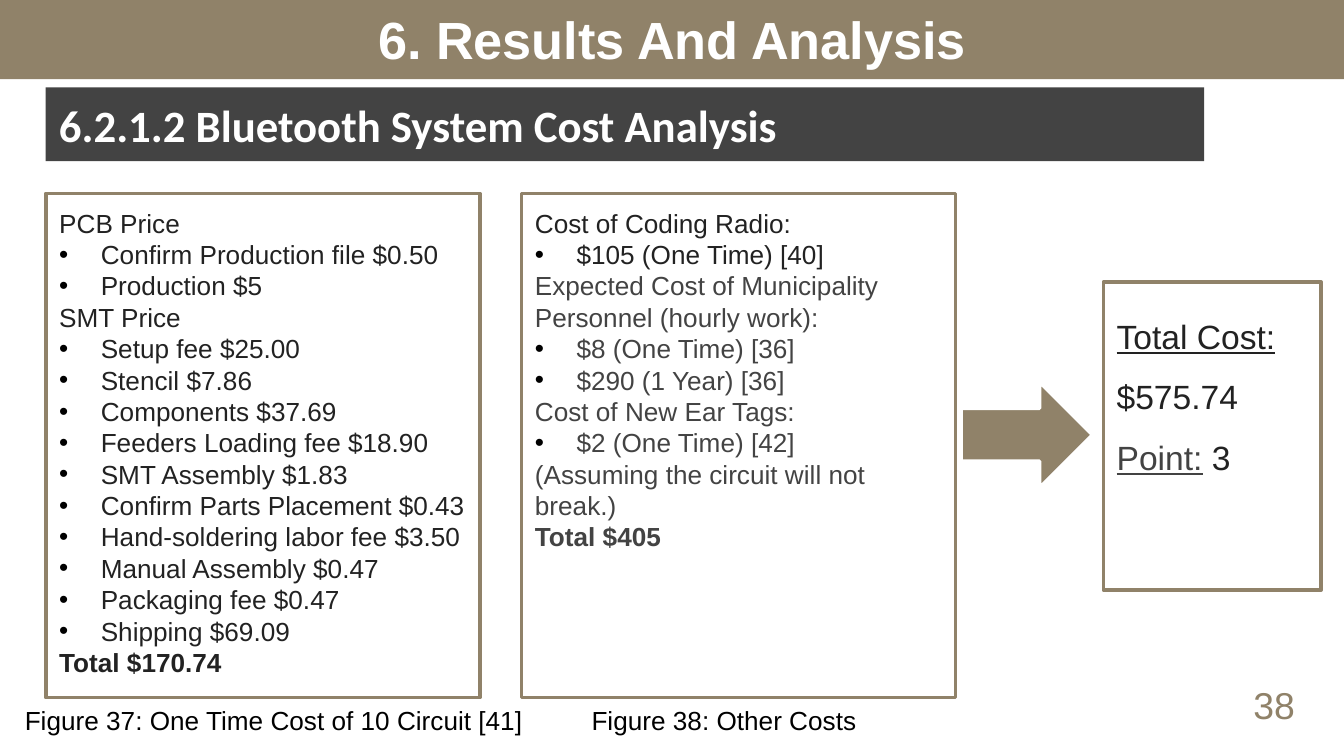
from dataclasses import dataclass

import pptx
import pptx.util
from lxml import etree
from pptx.dml.color import RGBColor
from pptx.enum.shapes import MSO_SHAPE
from pptx.enum.text import MSO_ANCHOR, MSO_AUTO_SIZE, PP_ALIGN
from pptx.oxml.ns import qn
from pptx.util import Inches, Pt


@dataclass(frozen=True)
class Theme:
    tan: str = "908269"
    dark: str = "434343"
    ink: str = "222222"
    black: str = "000000"
    white: str = "FFFFFF"
    font: str = "Arial"
    heading_font: str = "Calibri"
    title: int = 28
    heading: int = 24
    number: int = 20
    total: int = 18
    body: int = 14
    border: int = 2


THEME = Theme()

TITLE = "6. Results And Analysis"
HEADING = "6.2.1.2 Bluetooth System Cost Analysis"
PAGE_NUMBER = "38"

# Each cost line: kind ("head", "item" or "sum"), text, colour
CIRCUIT_COSTS = [
    ("head", "PCB Price", THEME.ink),
    ("item", "Confirm Production file $0.50", THEME.ink),
    ("item", "Production $5", THEME.ink),
    ("head", "SMT Price", THEME.ink),
    ("item", "Setup fee $25.00", THEME.ink),
    ("item", "Stencil $7.86", THEME.ink),
    ("item", "Components $37.69", THEME.ink),
    ("item", "Feeders Loading fee $18.90", THEME.ink),
    ("item", "SMT Assembly $1.83", THEME.ink),
    ("item", "Confirm Parts Placement $0.43", THEME.ink),
    ("item", "Hand-soldering labor fee $3.50", THEME.ink),
    ("item", "Manual Assembly $0.47", THEME.ink),
    ("item", "Packaging fee $0.47", THEME.ink),
    ("item", "Shipping $69.09", THEME.ink),
    ("sum", "Total $170.74", THEME.ink),
]
OTHER_COSTS = [
    ("head", "Cost of Coding Radio:", THEME.ink),
    ("item", "$105 (One Time) [40]", THEME.ink),
    ("head", "Expected Cost of Municipality Personnel (hourly work):", THEME.dark),
    ("item", "$8 (One Time) [36]", THEME.dark),
    ("item", "$290 (1 Year) [36]", THEME.dark),
    ("head", "Cost of New Ear Tags:", THEME.dark),
    ("item", "$2 (One Time) [42]", THEME.dark),
    ("head", "(Assuming the circuit will not break.)", THEME.dark),
    ("sum", "Total $405", THEME.dark),
]
# Each line of the result: runs of text, colour, underline
RESULT = [
    [("Total Cost:", THEME.ink, True)],
    [("$575.74", THEME.ink, False)],
    [("Point:", THEME.dark, True), (" 3", THEME.ink, False)],
]
# Caption, left, width
CAPTIONS = [
    ("Figure 37: One Time Cost of 10 Circuit [41] ", 0, 4.13),
    ("Figure 38: Other Costs ", 3.8, 3.23),
]

SLIDE_W = 10
SLIDE_H = SLIDE_W * 9 / 16
BAR_H = 0.6
MARGIN, COLUMN_W, GAP = 0.34, 3.23, 0.31
COLUMN_TOP, COLUMN_H = 1.44, 3.75
HEADING_TOP, HEADING_H = 0.65, 0.55
INDENT = 0.31


def place(shape, left, top, width, height):
    shape.left, shape.top = Inches(left), Inches(top)
    shape.width, shape.height = Inches(width), Inches(height)


def style_run(run, size, color, font=THEME.font, bold=False, underline=False):
    run.font.name, run.font.size = font, Pt(size)
    run.font.bold, run.font.underline = bold, underline
    run.font.color.rgb = RGBColor.from_string(color)


def paint(shape, fill, border=None):
    shape.fill.solid()
    shape.fill.fore_color.rgb = RGBColor.from_string(fill)
    if border:
        shape.line.color.rgb = RGBColor.from_string(border)
        shape.line.width = Pt(THEME.border)
    else:
        shape.line.fill.background()


def add_block(slide, preset, box, fill, border=None):
    block = slide.shapes.add_shape(preset, *map(Inches, box))
    block.shadow.inherit = False
    paint(block, fill, border)
    return block


def prepare_frame(shape, anchor):
    """Wrap the text, keep the size fixed and set equal insets."""
    frame = shape.text_frame
    frame.word_wrap, frame.auto_size = True, MSO_AUTO_SIZE.NONE
    frame.vertical_anchor = anchor
    frame.margin_left = frame.margin_right = Inches(0.1)
    frame.margin_top = frame.margin_bottom = Inches(0.1)
    return frame


def set_bullet(paragraph, bulleted):
    props = paragraph._p.get_or_add_pPr()
    indent = Inches(INDENT) if bulleted else 0
    props.set("marL", str(indent))
    props.set("indent", str(-indent))
    if bulleted:
        color = etree.SubElement(props, qn("a:buClr"))
        etree.SubElement(color, qn("a:srgbClr"), val=THEME.black)
        etree.SubElement(props, qn("a:buChar"), char="•")
    else:
        etree.SubElement(props, qn("a:buNone"))


def fill_costs(panel, costs):
    paint(panel, THEME.white, THEME.tan)
    frame = prepare_frame(panel, MSO_ANCHOR.TOP)
    frame.text = "\n".join(text for _, text, _ in costs)
    for paragraph, (kind, _, color) in zip(frame.paragraphs, costs):
        set_bullet(paragraph, kind == "item")
        paragraph.space_before = Pt(0)
        style_run(paragraph.runs[0], THEME.body, color, bold=kind == "sum")


def fill_result(panel):
    frame = prepare_frame(panel, MSO_ANCHOR.TOP)
    frame.text = "\n" * (len(RESULT) - 1)
    for paragraph, parts in zip(frame.paragraphs, RESULT):
        paragraph.alignment, paragraph.line_spacing = PP_ALIGN.LEFT, 1.5
        for text, color, underline in parts:
            run = paragraph.add_run()
            run.text = text
            style_run(run, THEME.total, color, underline=underline)


def add_label(slide, text, box, size, color):
    label = slide.shapes.add_textbox(*map(Inches, box))
    label.text_frame.word_wrap = True
    label.text_frame.text = text
    paragraph = label.text_frame.paragraphs[0]
    paragraph.alignment = PP_ALIGN.CENTER
    style_run(paragraph.runs[0], size, color)


def main():
    deck = pptx.Presentation()
    deck.slide_width, deck.slide_height = Inches(SLIDE_W), Inches(SLIDE_H)
    slide = deck.slides.add_slide(deck.slide_layouts.get_by_name("Two Content"))
    title, *cost_panels = slide.placeholders

    title_box = (0, -0.01, SLIDE_W, BAR_H)
    bar = add_block(slide, MSO_SHAPE.RECTANGLE, title_box, THEME.tan)
    slide.shapes._spTree.insert(2, bar._element)  # behind the title
    place(title, *title_box)
    add_block(slide, MSO_SHAPE.RECTANGLE, (MARGIN, HEADING_TOP, 8.62, HEADING_H), THEME.dark)
    heading = slide.shapes.add_textbox(
        *map(Inches, (MARGIN, HEADING_TOP, 7.88, HEADING_H)))
    for shape, text, size, font, align in [
        (title, TITLE, THEME.title, THEME.font, PP_ALIGN.CENTER),
        (heading, HEADING, THEME.heading, THEME.heading_font, PP_ALIGN.LEFT),
    ]:
        frame = prepare_frame(shape, MSO_ANCHOR.MIDDLE)
        frame.text = text
        frame.paragraphs[0].alignment = align
        style_run(frame.paragraphs[0].runs[0], size, THEME.white, font, bold=True)

    for column, (panel, costs) in enumerate(zip(cost_panels, (CIRCUIT_COSTS, OTHER_COSTS))):
        place(panel, MARGIN + column * (COLUMN_W + GAP), COLUMN_TOP, COLUMN_W, COLUMN_H)
        fill_costs(panel, costs)

    add_block(slide, MSO_SHAPE.RIGHT_ARROW, (7.15, 2.84, 0.98, 0.79), THEME.tan, THEME.white)
    fill_result(add_block(slide, MSO_SHAPE.RECTANGLE, (8.21, 2.1, 1.62, 2.29),
                          THEME.white, THEME.tan))

    for text, left, width in CAPTIONS:
        add_label(slide, text, (left, COLUMN_TOP + COLUMN_H, width, 0.34),
                  THEME.body, THEME.black)
    add_label(slide, PAGE_NUMBER, (8.96, 5.03, 1.04, 0.44), THEME.number, THEME.tan)
    deck.save("out.pptx")


if __name__ == "__main__":
    main()
